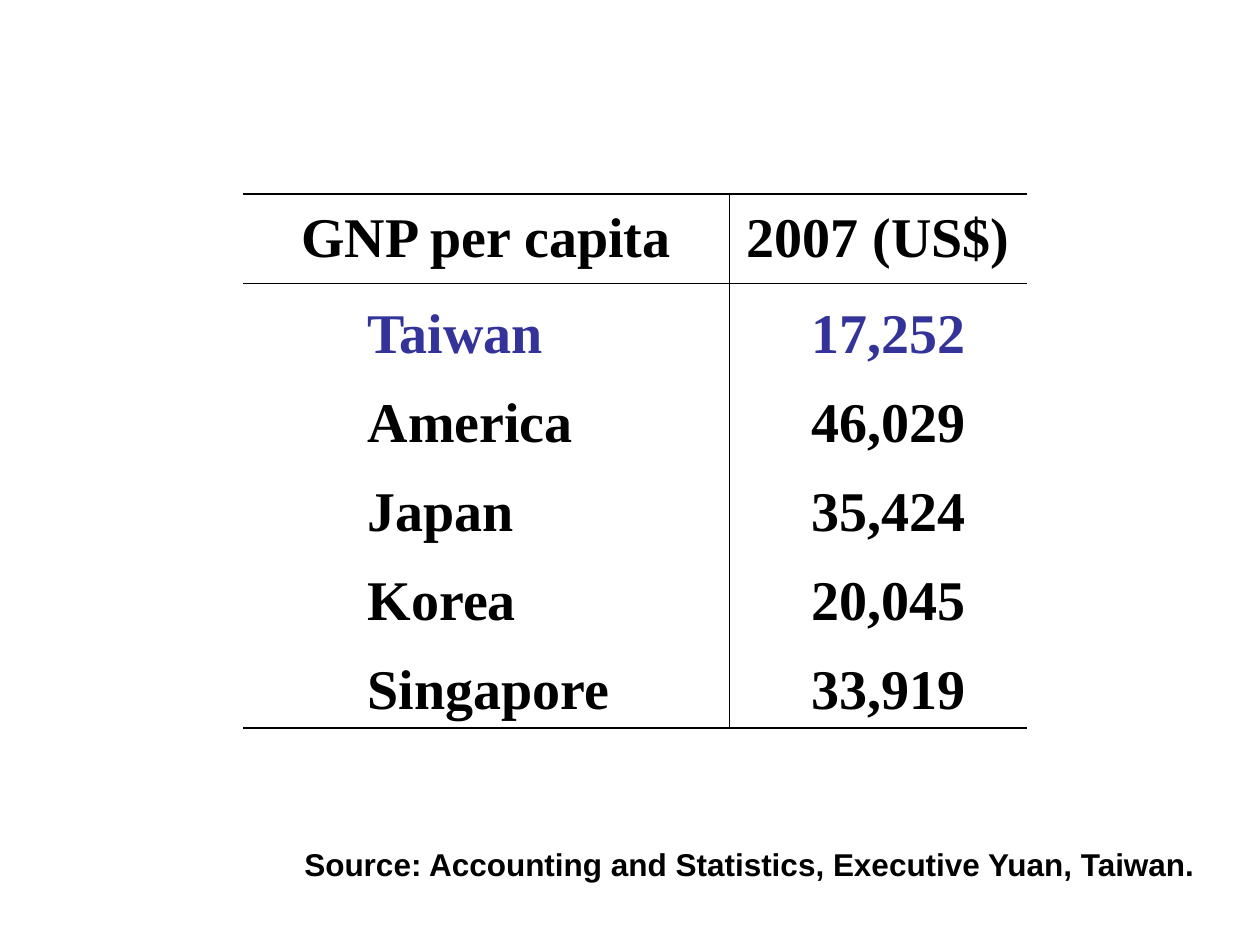
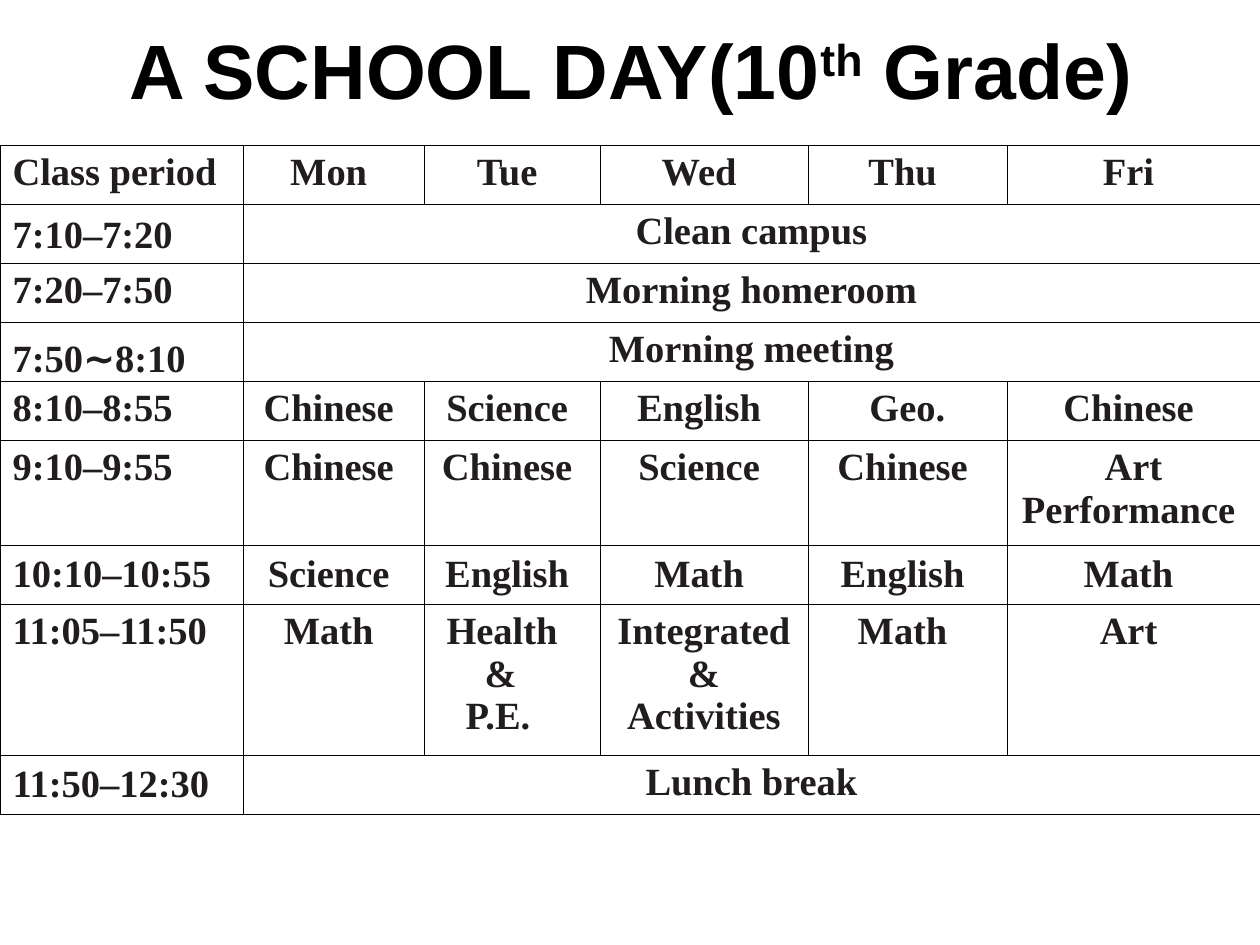
"""Build two slides: GNP per capita by country and a tenth-grade school day."""
from dataclasses import dataclass, field

from lxml.etree import SubElement
from pptx import Presentation
from pptx.dml.color import RGBColor
from pptx.enum.text import MSO_ANCHOR as Anchor, MSO_AUTO_SIZE as AutoSize, PP_ALIGN as Align
from pptx.oxml.ns import qn
from pptx.util import Emu, Pt

PIXELS_PER_INCH = 126
BLANK_LAYOUT = 6
SIDES = ("L", "R", "T", "B")


def px(length):
    return Emu(round(length * 914400 / PIXELS_PER_INCH))


def text_style(name, size, colour):
    return {"font": {"name": name, "size": Pt(size), "bold": True},
            "color": {"rgb": RGBColor.from_string(colour)}}


@dataclass(frozen=True)
class Theme:
    title: dict = field(default_factory=lambda: text_style("Arial", 44, "000000"))
    source: dict = field(default_factory=lambda: text_style("Arial", 18, "000000"))
    figures: dict = field(default_factory=lambda: text_style("Times New Roman", 32, "000000"))
    highlight: dict = field(default_factory=lambda: text_style("Times New Roman", 32, "333399"))
    schedule: dict = field(default_factory=lambda: text_style("Times New Roman", 22, "211D1E"))
    east_asian_font: str = "Noto Sans CJK JP"
    rule_colour: str = "000000"
    thin_rule: float = 0.45
    thick_rule: float = 0.96


@dataclass
class Line:
    runs: list
    align: Align = Align.LEFT
    margin: int = 0
    indent: int = 0


class Deck:
    def __init__(self, theme, width, height):
        self.theme = theme
        self.presentation = Presentation()
        self.presentation.slide_width = px(width)
        self.presentation.slide_height = px(height)
        self.slide = None

    def add_slide(self):
        layout = self.presentation.slide_layouts[BLANK_LAYOUT]
        self.slide = self.presentation.slides.add_slide(layout)

    def add_lines(self, frame, lines, style):
        for number, line in enumerate(lines):
            paragraph = frame.add_paragraph() if number else frame.paragraphs[0]
            paragraph.alignment = line.align
            properties = paragraph._p.get_or_add_pPr()
            for name, length in {"marL": line.margin, "indent": line.indent}.items():
                properties.set(name, str(px(length)))
            for item in line.runs:
                text, kind = item if isinstance(item, tuple) else (item, None)
                self.add_run(paragraph, text, kind, style)

    def add_run(self, paragraph, text, kind, style):
        run = paragraph.add_run()
        run.text = text
        for target, values in ((run.font, style["font"]), (run.font.color, style["color"])):
            for name, value in values.items():
                setattr(target, name, value)
        properties = run._r.get_or_add_rPr()
        if kind == "superscript":
            properties.set("baseline", "30000")
        elif kind == "east asian":
            run.font.name = self.theme.east_asian_font
            SubElement(properties, qn("a:ea"), typeface=self.theme.east_asian_font)

    def add_text(self, box, lines, style, **frame_format):
        frame = self.slide.shapes.add_textbox(*map(px, box)).text_frame
        for name, value in {"word_wrap": True, **frame_format}.items():
            setattr(frame, name, value)
        self.add_lines(frame, lines, style)

    def add_table(self, left, top, columns, rows):
        box = (left, top, sum(columns), sum(rows))
        table = self.slide.shapes.add_table(len(rows), len(columns), *map(px, box)).table
        table.first_row = table.horz_banding = False
        for column, width in zip(table.columns, columns):
            column.width = px(width)
        for row, height in zip(table.rows, rows):
            row.height = px(height)
        return table

    def fill_cell(self, cell, lines, style, anchor):
        cell.vertical_anchor = anchor
        self.add_lines(cell.text_frame, lines, style)

    def draw_borders(self, cell, widths):
        properties = cell._tc.get_or_add_tcPr()
        for side in SIDES:
            width = widths.get(side, 0)
            border = SubElement(properties, qn(f"a:ln{side}"), w=str(Pt(width)))
            if width:
                fill = SubElement(border, qn("a:solidFill"))
                SubElement(fill, qn("a:srgbClr"), val=self.theme.rule_colour)
            else:
                SubElement(border, qn("a:noFill"))
        cell.fill.background()


def build_income_slide(deck):
    theme = deck.theme
    incomes = [("GNP per capita", "2007 (US$)"), ("Taiwan", "17,252"), ("America", "46,029"),
               ("Japan", "35,424"), ("Korea", "20,045"), ("Singapore", "33,919")]
    margins = (112, 70)
    last = len(incomes) - 1
    deck.add_slide()
    table = deck.add_table(243, 194, (486, 298), [89] * len(incomes))
    for row, texts in enumerate(incomes):
        rules = {}
        if row == 0:
            rules = {"T": theme.thick_rule, "B": theme.thin_rule}
        elif row == 1:
            rules = {"T": theme.thin_rule}
        elif row == last:
            rules = {"B": theme.thick_rule}
        for column, text in enumerate(texts):
            cell = table.cell(row, column)
            line = Line([text], margin=margins[column]) if row else Line([text], Align.CENTER)
            style = theme.highlight if row == 1 else theme.figures
            deck.fill_cell(cell, [line], style, Anchor.BOTTOM if row else Anchor.MIDDLE)
            deck.draw_borders(cell, {**rules, "LR"[column == 0]: theme.thin_rule})
    source = "Source: Accounting and Statistics, Executive Yuan, Taiwan."
    deck.add_text((292, 839, 922, 50), [Line([source])], theme.source,
                  auto_size=AutoSize.SHAPE_TO_FIT_TEXT)


def build_schedule_slide(deck):
    theme = deck.theme
    top, middle, bottom = Anchor.TOP, Anchor.MIDDLE, Anchor.BOTTOM
    health = [Line(["Health &"], margin=48, indent=-38), Line(["P.E."], margin=29)]
    meeting_time = [Line(["7:50", ("∼", "east asian"), "8:10"])]
    periods = [
        (59, top, top, ["Class period", "Mon ", "Tue ", "Wed ", "Thu ", "Fri "]),
        (59, bottom, top, ["7:10–7:20", "Clean campus"]),
        (59, top, top, ["7:20–7:50", "Morning homeroom"]),
        (59, top, top, [meeting_time, "Morning meeting"]),
        (59, top, top, ["8:10–8:55", "Chinese ", "Science ", "English ", "Geo.", "Chinese "]),
        (105, top, top, ["9:10–9:55", "Chinese ", "Chinese ", "Science ", "Chinese ",
                         "Art\nPerformance "]),
        (59, middle, middle, ["10:10–10:55", "Science ", "English ", "Math ", "English ",
                              "Math "]),
        (151, top, top, ["11:05–11:50", "Math ", health, "Integrated\n&\nActivities",
                         "Math ", "Art "]),
        (59, middle, top, ["11:50–12:30", "Lunch break"]),
    ]
    columns = (243, 181, 176, 208, 199, 253)
    deck.add_slide()
    title = Line(["A SCHOOL DAY(10", ("th", "superscript"), " Grade)"], Align.CENTER)
    deck.add_text((64, 0, 1134, 137), [title], theme.title, vertical_anchor=middle)
    table = deck.add_table(0, 145, columns, [period[0] for period in periods])
    for row, (_, time_anchor, lesson_anchor, contents) in enumerate(periods):
        for column in range(len(columns)):
            deck.draw_borders(table.cell(row, column), dict.fromkeys(SIDES, theme.thin_rule))
        if len(contents) == 2:
            table.cell(row, 1).merge(table.cell(row, len(columns) - 1))
        for column, content in enumerate(contents):
            align = Align.CENTER if column else Align.LEFT
            if isinstance(content, str):
                content = [Line([text], align) for text in content.split("\n")]
            anchor = lesson_anchor if column else time_anchor
            deck.fill_cell(table.cell(row, column), content, theme.schedule, anchor)


def main():
    deck = Deck(Theme(), 1260, 945)
    build_income_slide(deck)
    build_schedule_slide(deck)
    deck.presentation.save("out.pptx")


if __name__ == "__main__":
    main()
